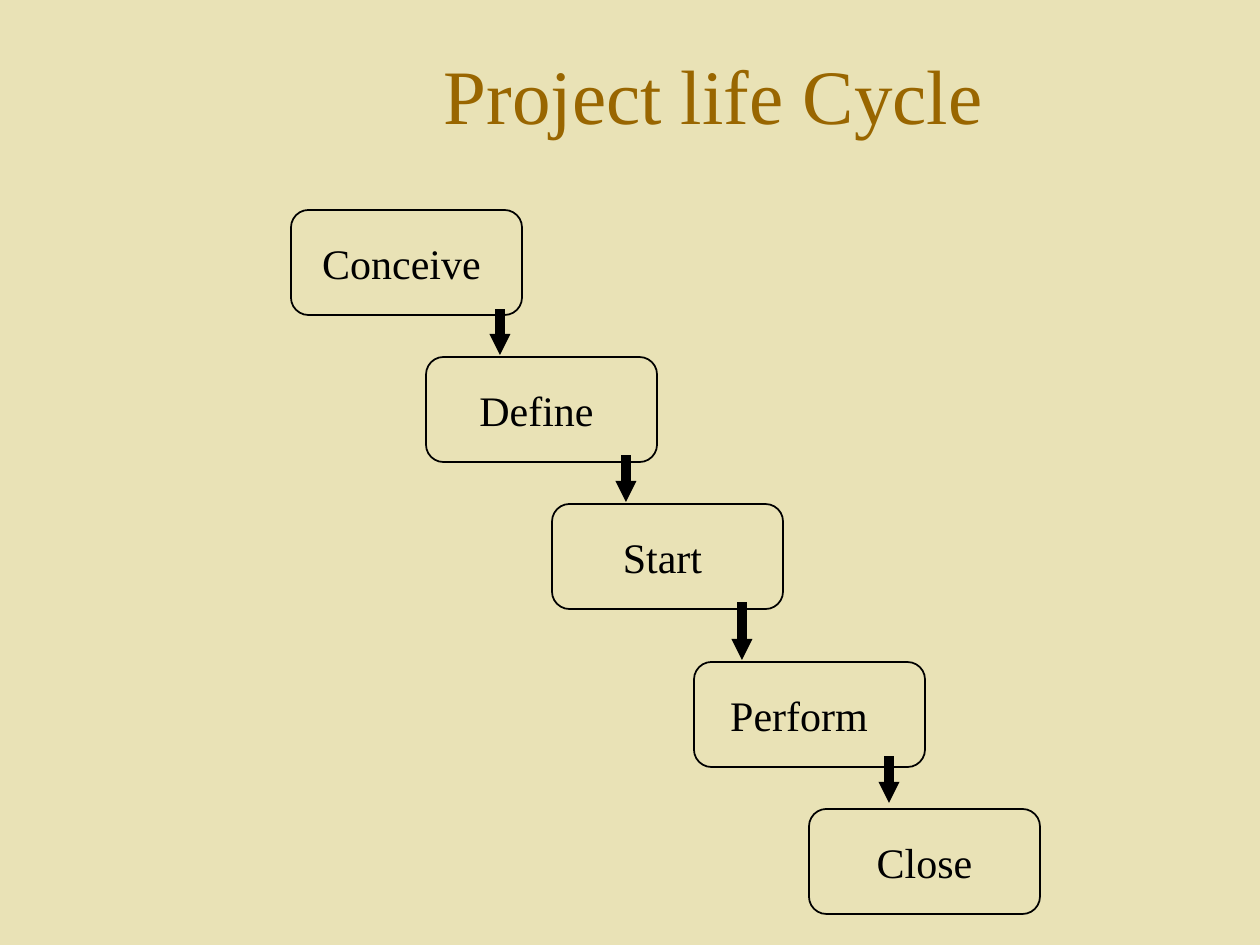
from lxml.etree import SubElement
from pptx import Presentation
from pptx.dml.color import RGBColor
from pptx.enum.shapes import MSO_CONNECTOR, MSO_SHAPE
from pptx.enum.text import MSO_ANCHOR, PP_ALIGN
from pptx.oxml.ns import qn
from pptx.util import Pt

SCALE = 914400 / 126
COLORS = {"background": "E9E2B6", "title": "996600", "ink": "000000"}
STAGE_WIDTH, STAGE_HEIGHT = 231, 105
STAGES = [
    ("Conceive", 291, 210, 23),
    ("Define", 426, 357, 23),
    ("Start", 552, 504, 23),
    ("Perform", 694, 662, 34),
    ("Close", 809, 809, 13),
]
ARROWS = [(500, 314, 355), (626, 460, 502), (742, 607, 660), (889, 761, 803)]


def px(*lengths):
    return [round(length * SCALE) for length in lengths]


def write_text(shape, text, size, color, wrap, right_inset=13):
    left, top, right, bottom = px(13, 6, right_inset, 6)
    frame_format = {
        "word_wrap": wrap,
        "vertical_anchor": MSO_ANCHOR.MIDDLE,
        "margin_left": left,
        "margin_top": top,
        "margin_right": right,
        "margin_bottom": bottom,
    }
    for name, value in frame_format.items():
        setattr(shape.text_frame, name, value)
    paragraph = shape.text_frame.paragraphs[0]
    paragraph.alignment = PP_ALIGN.CENTER
    run = paragraph.add_run()
    run.text = text
    for name, value in {"name": "Times New Roman", "size": Pt(size)}.items():
        setattr(run.font, name, value)
    run.font.color.rgb = RGBColor.from_string(COLORS[color])


presentation = Presentation()
presentation.slide_width, presentation.slide_height = px(1260, 945)
slide = presentation.slides.add_slide(presentation.slide_layouts[6])
slide.background.fill.solid()
slide.background.fill.fore_color.rgb = RGBColor.from_string(COLORS["background"])

title = slide.shapes.add_textbox(*px(246, 29, 935, 129))
write_text(title, "Project life Cycle", 44, "title", True)

for label, left, top, right_inset in STAGES:
    stage = slide.shapes.add_shape(
        MSO_SHAPE.ROUNDED_RECTANGLE, *px(left, top, STAGE_WIDTH, STAGE_HEIGHT)
    )
    stage.shadow.inherit = False
    stage.fill.solid()
    stage.fill.fore_color.rgb = RGBColor.from_string(COLORS["background"])
    stage.line.color.rgb = RGBColor.from_string(COLORS["ink"])
    stage.line.width = Pt(1)
    write_text(stage, label, 24, "ink", False, right_inset)

for x, start, end in ARROWS:
    arrow = slide.shapes.add_connector(MSO_CONNECTOR.STRAIGHT, *px(x, start, x, end))
    arrow.line.color.rgb = RGBColor.from_string(COLORS["ink"])
    arrow.line.width = Pt(6)
    properties = arrow.element.spPr
    outline = properties.find(qn("a:ln"))
    outline.set("cap", "sq")
    SubElement(outline, qn("a:tailEnd"), type="triangle", w="sm", len="sm")
    SubElement(properties, qn("a:effectLst"))

presentation.save("out.pptx")
